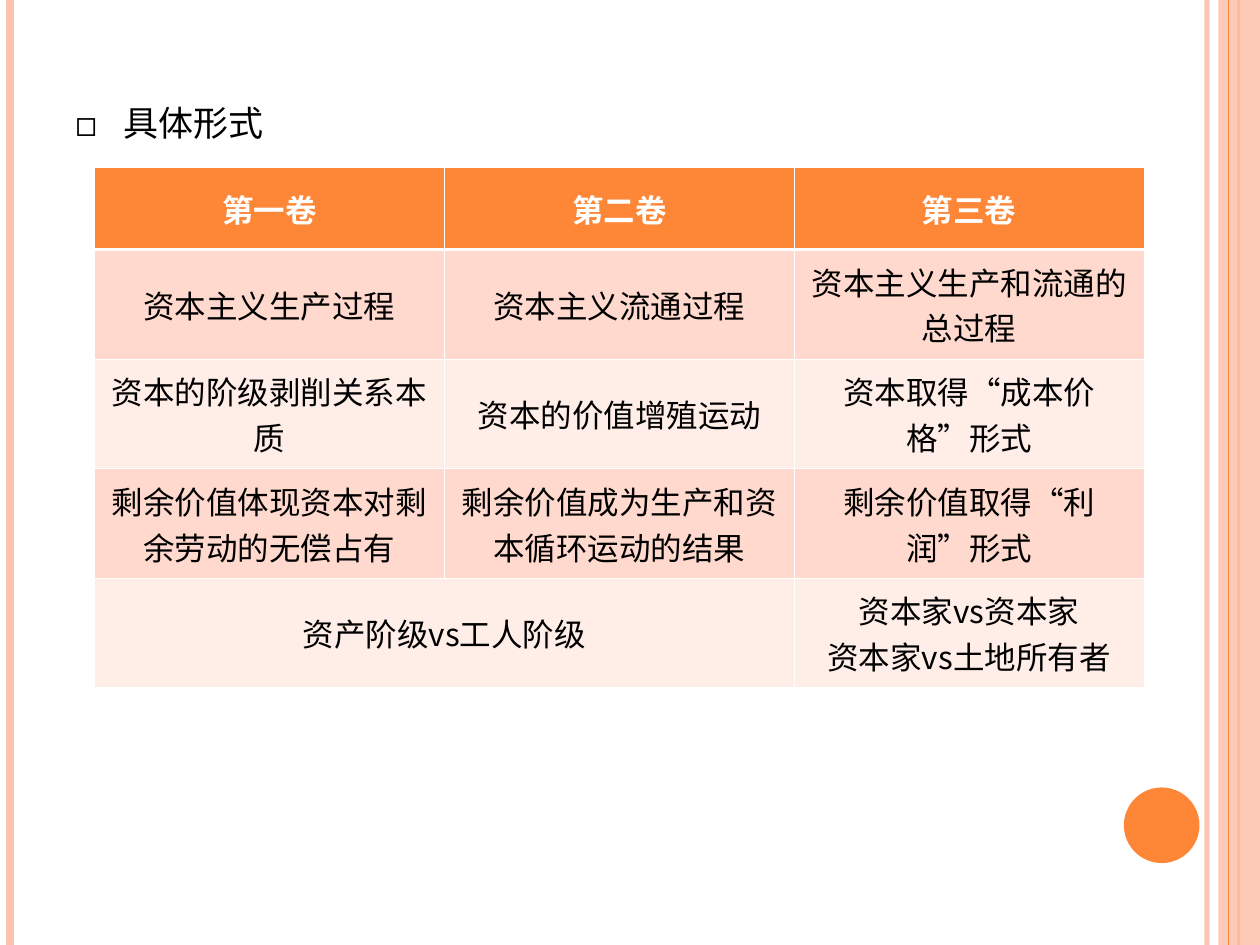
from dataclasses import dataclass

from lxml import etree
from pptx import Presentation
from pptx import util as u
from pptx.dml.color import RGBColor
from pptx.enum import shapes, text
from pptx.oxml import ns


@dataclass(frozen=True)
class Theme:
    accent: str = "FE8637"
    soft: str = "FEC3AE"
    band_dark: str = "FFD9CE"
    band_light: str = "FFEDE8"
    white: str = "FFFFFF"
    black: str = "000000"
    font: str = "Noto Sans CJK SC"
    heading_size: int = 20
    table_size: int = 18


T = Theme()

ROWS = [
    ["第一卷", "第二卷", "第三卷"],
    ["资本主义生产过程", "资本主义流通过程", "资本主义生产和流通的总过程"],
    ["资本的阶级剥削关系本质", "资本的价值增殖运动", "资本取得“成本价格”形式"],
    ["剩余价值体现资本对剩余劳动的无偿占有",
     "剩余价值成为生产和资本循环运动的结果",
     "剩余价值取得“利润”形式"],
    ["资产阶级vs工人阶级", None, "资本家vs资本家\n资本家vs土地所有者"],
]


def rgb(color):
    return RGBColor.from_string(color)


def sub(parent, tag, **attrs):
    return etree.SubElement(parent, ns.qn(tag), attrs)


def set_alpha(sp, percent):
    """Make every solid colour of a shape partly transparent."""
    for clr in sp._element.spPr.iter(ns.qn("a:srgbClr")):
        sub(clr, "a:alpha", val=str(percent * 1000))


def add_rule(s, x, color, width, alpha=100):
    """Vertical line over the full slide height."""
    line = s.shapes.add_connector(
        shapes.MSO_CONNECTOR.STRAIGHT,
        u.Inches(x), 0, u.Inches(x), u.Inches(7.5))
    line.line.color.rgb = rgb(color)
    line.line.width = u.Pt(width)
    sub(line._element.spPr, "a:effectLst")
    if alpha < 100:
        set_alpha(line, alpha)


def add_block(s, kind, box, color, alpha=100):
    sp = s.shapes.add_shape(kind, *map(u.Inches, box))
    sp.shadow.inherit = False
    sp.fill.solid()
    sp.fill.fore_color.rgb = rgb(color)
    sp.line.fill.background()
    if alpha < 100:
        set_alpha(sp, alpha)


def add_run(p, words, size, color, bold=False):
    r = p.add_run()
    r.text = words
    r.font.size = u.Pt(size)
    r.font.bold = bold
    r.font.color.rgb = rgb(color)
    r.font.name = T.font
    sub(r.font._element, "a:ea", typeface=T.font)


def add_heading(s, words):
    sp = s.shapes.add_textbox(*map(u.Inches, (0.5, 0.67, 8.42, 0.52)))
    tf = sp.text_frame
    tf.word_wrap = True
    tf.auto_size = text.MSO_AUTO_SIZE.SHAPE_TO_FIT_TEXT
    p = tf.paragraphs[0]
    p.level = 3
    p.line_spacing = u.Pt(30)
    p.space_before = p.space_after = u.Pt(6)
    # Hanging square bullet
    ppr = p._p.get_or_add_pPr()
    ppr.set("marL", str(u.Inches(0.38)))
    ppr.set("indent", str(-u.Inches(0.38)))
    sub(sub(ppr, "a:buClr"), "a:srgbClr", val=T.black)
    sub(ppr, "a:buFont", typeface=T.font)
    sub(ppr, "a:buChar", char="◻")
    add_run(p, words, T.heading_size, T.black)


def set_borders(cell, **widths):
    tcpr = cell._tc.get_or_add_tcPr()
    for side in "LRTB":
        width = u.Pt(widths.get(side, 0.45))
        ln = sub(tcpr, f"a:ln{side}", w=str(width))
        sub(sub(ln, "a:solidFill"), "a:srgbClr", val=T.white)


def fill_cell(cell, words, row):
    header = row == 0
    borders = {0: {"B": 1.47}, 1: {"T": 1.47}}.get(row, {})
    set_borders(cell, **borders)
    band = T.band_dark if row % 2 else T.band_light
    cell.fill.solid()
    cell.fill.fore_color.rgb = rgb(T.accent if header else band)
    cell.vertical_anchor = text.MSO_ANCHOR.MIDDLE
    if words is None:
        return
    tf = cell.text_frame
    for i, line in enumerate(words.split("\n")):
        p = tf.add_paragraph() if i else tf.paragraphs[0]
        p.alignment = text.PP_ALIGN.CENTER
        add_run(p, line, T.table_size, T.white if header else T.black, header)


def add_volume_table(s):
    frame = s.shapes.add_table(
        len(ROWS), 3, *map(u.Inches, (0.75, 1.33, 8.33, 4.13)))
    table = frame.table
    for col in table.columns:
        col.width = u.Inches(8.33 / 3)
    for i, words in enumerate(ROWS):
        table.rows[i].height = u.Inches(0.87 if i else 0.65)
        for j, cell_words in enumerate(words):
            fill_cell(table.cell(i, j), cell_words, i)
    # The class opposition spans the first two volumes
    table.cell(4, 0).merge(table.cell(4, 1))


def add_frame_decor(s):
    add_rule(s, 9.58, T.soft, 3, alpha=93)
    add_rule(s, 0.08, T.soft, 4.5)
    add_rule(s, 9.83, T.accent, 1.5)
    add_block(s, shapes.MSO_SHAPE.RECTANGLE, (9.67, 0, 0.33, 7.5), T.soft, 87)
    add_rule(s, 9.75, T.accent, 0.75)
    add_block(s, shapes.MSO_SHAPE.OVAL, (8.92, 6.25, 0.6, 0.6), T.accent)


def main():
    prs = Presentation()
    prs.slide_width, prs.slide_height = u.Inches(10), u.Inches(7.5)
    s = prs.slides.add_slide(prs.slide_layouts[6])
    # Side stripes and corner dot
    add_frame_decor(s)
    # Content
    add_volume_table(s)
    add_heading(s, "具体形式")
    prs.save("out.pptx")


if __name__ == "__main__":
    main()
